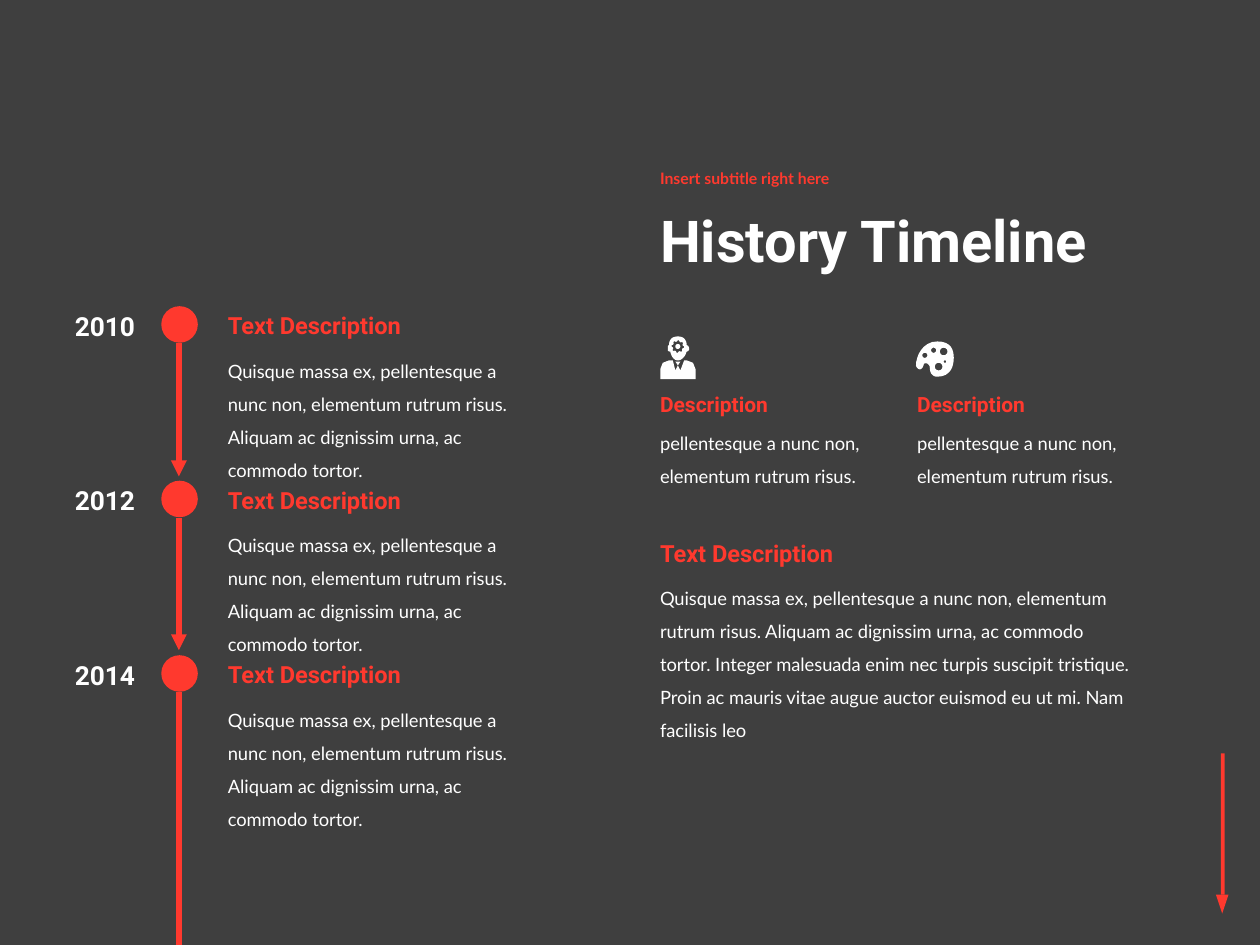
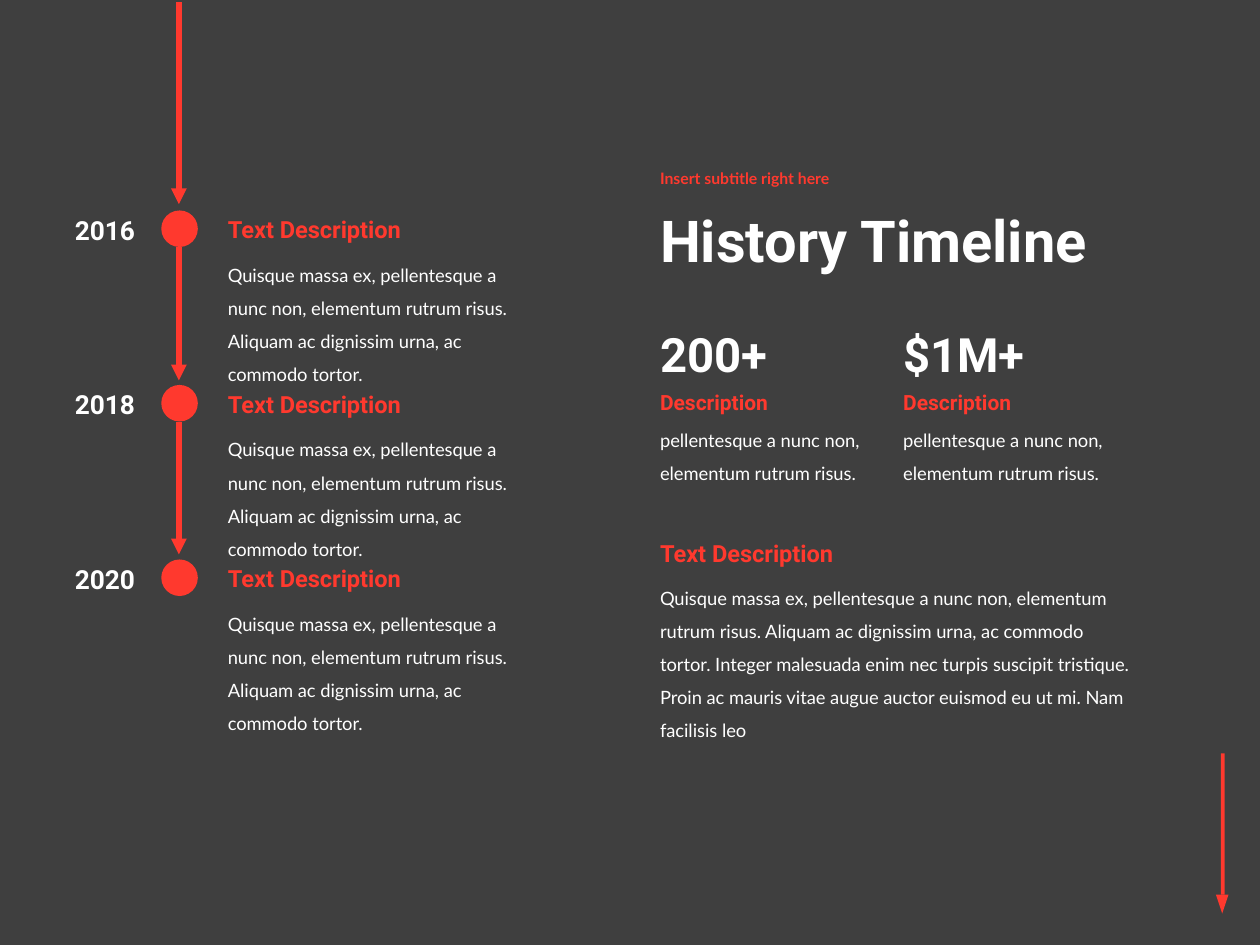
import math
from lxml import etree
from pptx import Presentation
from pptx import util as u
from pptx.dml.color import RGBColor
from pptx.enum import shapes, text
from pptx.oxml import ns

Inches = u.Inches
color = RGBColor.from_string
DARK, RED, WHITE = "3F3F3F", "FF392E", "FFFFFF"
LEFT, PITCH, DOT = 5.14, 1.385, 0.29
AXIS = 1.42
EVENT_TEXT = ("Quisque massa ex, pellentesque a nunc non, elementum rutrum risus. "
              "Aliquam ac dignissim urna, ac commodo tortor.")
SUMMARY_TEXT = ("Quisque massa ex, pellentesque a nunc non, elementum rutrum risus. "
                "Aliquam ac dignissim urna, ac commodo tortor. Integer malesuada enim nec turpis "
                "suscipit tristique. Proin ac mauris vitae augue auctor euismod eu ut mi. "
                "Nam facilisis leo")
COLUMN_TEXT = "pellentesque a nunc non, elementum rutrum risus."


def add_text(slide, box, words, size, ink=WHITE, face="Roboto", bold=True,
             spacing=None, middle=False, align=text.PP_ALIGN.LEFT):
    frame = slide.shapes.add_textbox(*map(Inches, box)).text_frame
    frame.word_wrap = True
    if middle:
        frame.vertical_anchor = text.MSO_ANCHOR.MIDDLE
    else:
        frame.auto_size = text.MSO_AUTO_SIZE.SHAPE_TO_FIT_TEXT
    paragraph = frame.paragraphs[0]
    paragraph.text = words
    paragraph.alignment = align
    paragraph.line_spacing = spacing
    paragraph.font.name = face
    paragraph.font.size = u.Pt(size)
    paragraph.font.bold = bold
    paragraph.font.color.rgb = color(ink)


def curve(points):
    outline = []
    for start in range(0, len(points) - 1, 3):
        corners = points[start:start + 4]
        for step in range(8):
            t = step / 8
            weights = ((1 - t) ** 3, 3 * t * (1 - t) ** 2, 3 * t * t * (1 - t), t ** 3)
            outline.append(tuple(sum(w * c[axis] for w, c in zip(weights, corners))
                                 for axis in (0, 1)))
    return outline


turns = [2 * math.pi * step / 32 for step in range(32)]
gear = [(5.38 + radius * math.cos(turn), 2.75 + radius * math.sin(turn))
        for turn, radius in zip(turns, [0.05, 0.05, 0.04, 0.04] * 8)]
head = curve([(5.45, 2.74), (5.45, 2.69), (5.42, 2.67), (5.38, 2.67),
              (5.34, 2.67), (5.31, 2.69), (5.31, 2.74),
              (5.3, 2.74), (5.3, 2.75), (5.3, 2.77),
              (5.3, 2.78), (5.3, 2.79), (5.32, 2.79),
              (5.33, 2.83), (5.35, 2.86), (5.38, 2.86),
              (5.41, 2.86), (5.44, 2.83), (5.45, 2.79),
              (5.46, 2.79), (5.47, 2.78), (5.47, 2.77),
              (5.47, 2.75), (5.46, 2.74), (5.45, 2.74)])
suit = [(5.43, 2.86), (5.4, 2.94), (5.38, 2.9), (5.4, 2.87), (5.36, 2.87), (5.38, 2.9),
        (5.36, 2.94), (5.34, 2.86), (5.31, 2.86), (5.26, 2.88), (5.24, 2.93), (5.24, 3.01),
        (5.52, 3.01), (5.52, 2.93), (5.5, 2.88), (5.45, 2.86)]
palette = curve([(7.44, 2.71), (7.32, 2.71), (7.27, 2.83), (7.27, 2.9),
                 (7.27, 2.92), (7.31, 2.96), (7.33, 2.9),
                 (7.33, 2.87), (7.38, 2.88), (7.38, 2.92),
                 (7.38, 2.96), (7.4, 2.99), (7.44, 2.99),
                 (7.55, 2.99), (7.57, 2.9), (7.57, 2.84),
                 (7.57, 2.78), (7.55, 2.71), (7.44, 2.71)])
paint_wells = [[(x + radius * math.cos(turn), y + radius * math.sin(turn)) for turn in turns]
               for x, y, radius in [(7.34, 2.82, 0.02), (7.41, 2.78, 0.02), (7.45, 2.91, 0.03),
                                    (7.5, 2.87, 0.01), (7.49, 2.79, 0.03)]]
icons = [[suit], [head, gear], [palette, *paint_wells]]

pages = [
    dict(years=["2010", "2012", "2014"], top=2.43, columns=[LEFT, 7.18], column_top=3.06,
         figures=[], icons=icons, lines=[(2.72, 3.78, True), (4.11, 5.16, True), (5.49, 7.5, False)]),
    dict(years=["2016", "2018", "2020"], top=1.67, columns=[LEFT, 7.07], column_top=3.04,
         figures=["200+", "$1M+"], icons=[],
         lines=[(0.02, 1.62, True), (1.96, 3.02, True), (3.35, 4.4, True)]),
]

presentation = Presentation()
presentation.slide_width, presentation.slide_height = Inches(10), Inches(7.5)

for page in pages:
    slide = presentation.slides.add_slide(presentation.slide_layouts[6])
    slide.background.fill.solid()
    slide.background.fill.fore_color.rgb = color(DARK)

    arrow_shaft = slide.shapes.add_shape(
        shapes.MSO_SHAPE.RECTANGLE, *map(Inches, (9.69, 5.98, 0.03, 1.12)))
    arrow_tip = slide.shapes.add_shape(
        shapes.MSO_SHAPE.ISOSCELES_TRIANGLE, *map(Inches, (9.65, 7.1, 0.1, 0.15)))
    arrow_tip.rotation = 180
    painted = [(arrow_shaft, RED), (arrow_tip, RED)]

    add_text(slide, (LEFT, 1.42, 5.63, 1.03), "History Timeline", 33, spacing=0.9, middle=True)
    add_text(slide, (LEFT, 1.23, 5.63, 0.38), "Insert subtitle right here", 9, RED, "Lato",
             spacing=0.9, middle=True)

    for row, year in enumerate(page["years"]):
        top = page["top"] + row * PITCH
        dot = slide.shapes.add_shape(
            shapes.MSO_SHAPE.OVAL, *map(Inches, (1.28, top, DOT, DOT)))
        painted.append((dot, RED))
        add_text(slide, (0.43, top - 0.02, 0.74, 0.35), year, 15, align=text.PP_ALIGN.RIGHT)
        add_text(slide, (1.71, top + 0.29, 2.6, 0.87), EVENT_TEXT, 10.5,
                 face="Lato", bold=False, spacing=1.5)
        add_text(slide, (1.71, top - 0.01, 2.19, 0.33), "Text Description", 13.5, RED)

    for start, end, has_head in page["lines"]:
        line = slide.shapes.add_connector(
            shapes.MSO_CONNECTOR.STRAIGHT, *map(Inches, (AXIS, start, AXIS, end)))
        line.line.color.rgb = color(RED)
        line.line.width = u.Pt(3)
        if has_head:
            etree.SubElement(line.line._get_or_add_ln(), ns.qn("a:tailEnd"), type="triangle")
        etree.SubElement(line._element.spPr, ns.qn("a:effectLst"))

    for left in page["columns"]:
        add_text(slide, (left, page["column_top"] + 0.23, 1.89, 0.6), COLUMN_TEXT, 10.5,
                 face="Lato", bold=False, spacing=1.5)
        add_text(slide, (left, page["column_top"], 1.5, 0.3), "Description", 12, RED)
    for left, figure in zip(page["columns"], page["figures"]):
        add_text(slide, (left, 2.53, 1.5, 0.56), figure, 27)

    add_text(slide, (LEFT, 4.52, 4, 1.13), SUMMARY_TEXT, 10.5,
             face="Lato", bold=False, spacing=1.5)
    add_text(slide, (LEFT, 4.23, 2.19, 0.33), "Text Description", 13.5, RED)

    for icon in page["icons"]:
        contours = [[(x * 1000, y * 1000) for x, y in contour] for contour in icon]
        builder = slide.shapes.build_freeform(*contours[0][0], scale=914.4)
        builder.add_line_segments(contours[0][1:])
        for hole in contours[1:]:
            builder.move_to(*hole[0])
            builder.add_line_segments(hole[1:])
        painted.append((builder.convert_to_shape(), WHITE))
    if page["icons"]:
        gear_hub = slide.shapes.add_shape(
            shapes.MSO_SHAPE.OVAL, *map(Inches, (5.36, 2.73, 0.04, 0.04)))
        painted.append((gear_hub, WHITE))

    for shape, ink in painted:
        shape.shadow.inherit = False
        shape.fill.solid()
        shape.fill.fore_color.rgb = color(ink)
        shape.line.fill.background()

presentation.save("out.pptx")
